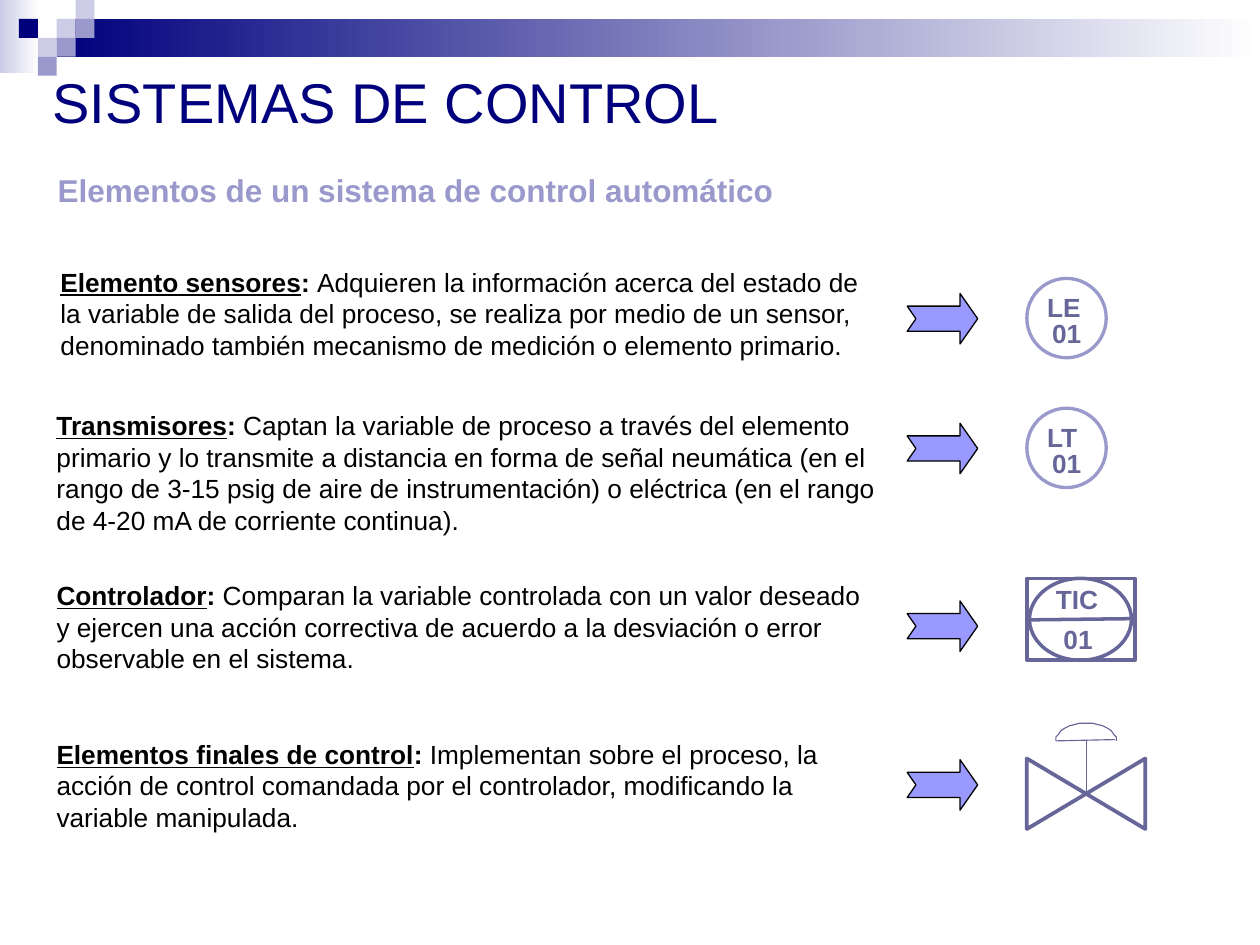
import math
from dataclasses import dataclass
from typing import Optional

from lxml import etree
from pptx import Presentation
from pptx import util as u
from pptx.dml.color import RGBColor
from pptx.enum import shapes, text
from pptx.oxml.ns import qn

PX = 9144
NAVY, LAVENDER, PALE = "00007D", "9999CC", "CCCCE6"
SLATE, ARROW, BLACK, WHITE = "666699", "9999FF", "000000", "FFFFFF"
RECT = shapes.MSO_SHAPE.RECTANGLE
OVAL = shapes.MSO_SHAPE.OVAL
MIDDLE, TOP = text.MSO_ANCHOR.MIDDLE, text.MSO_ANCHOR.TOP


@dataclass
class Box:
    left: int
    top: int
    width: int
    height: int

    def emu(self) -> list[int]:
        return [v * PX for v in (self.left, self.top, self.width, self.height)]


@dataclass
class Element:
    term: str
    description: str
    box: Box
    arrow_top: int
    left_inset: int = 10
    anchor: text.MSO_ANCHOR = TOP


@dataclass
class Square:
    column: int
    row: int
    color: str


@dataclass
class Instrument:
    letters: str
    top: int


ELEMENTS = [
    Element("Elemento sensores",
            "Adquieren la información acerca del estado de la variable de salida del proceso, "
            "se realiza por medio de un sensor, denominado también mecanismo de medición o "
            "elemento primario.", Box(-12, 206, 716, 85), 233, 60, MIDDLE),
    Element("Transmisores",
            "Captan la variable de proceso a través del elemento primario y lo transmite a "
            "distancia en forma de señal neumática (en el rango de 3-15 psig de aire de "
            "instrumentación) o eléctrica (en el rango de 4-20 mA de corriente continua).",
            Box(35, 320, 693, 110), 336),
    Element("Controlador",
            "Comparan la variable controlada con un valor deseado y ejercen una acción "
            "correctiva de acuerdo a la desviación o error observable en el sistema.",
            Box(35, 455, 661, 85), 477),
    Element("Elementos finales de control",
            "Implementan sobre el proceso, la acción de control comandada por el controlador, "
            "modificando la variable manipulada.", Box(35, 581, 661, 85), 603),
]
SQUARES = [Square(3, 1, PALE), Square(4, 0, PALE), Square(4, 1, LAVENDER), Square(2, 2, PALE),
           Square(1, 1, NAVY), Square(3, 2, LAVENDER), Square(2, 3, LAVENDER)]
INSTRUMENTS = [Instrument("LE", 221), Instrument("LT", 324)]


def rgb(color: str) -> RGBColor:
    return RGBColor.from_string(color)


def paint(shape, fill: Optional[str] = None, line: Optional[str] = None, points: float = 1):
    shape.shadow.inherit = False
    if fill:
        shape.fill.solid()
        shape.fill.fore_color.rgb = rgb(fill)
    else:
        shape.fill.background()
    if line:
        shape.line.color.rgb = rgb(line)
        shape.line.width = u.Pt(points)
    else:
        shape.line.fill.background()


def add_preset(slide, kind, box: Box, fill=None, line=None, points: float = 1):
    shape = slide.shapes.add_shape(kind, *box.emu())
    paint(shape, fill, line, points)
    return shape


def add_fade(slide, box: Box, start: str) -> None:
    shape = add_preset(slide, RECT, box)
    shape.fill.gradient()
    shape.fill.gradient_angle = 0
    for stop, color in zip(shape.fill.gradient_stops, (start, WHITE)):
        stop.color.rgb = rgb(color)


def add_line(slide, start: tuple[int, int], end: tuple[int, int], points: float) -> None:
    connector = slide.shapes.add_connector(
        shapes.MSO_CONNECTOR.STRAIGHT, *(v * PX for v in (*start, *end)))
    connector.line.color.rgb = rgb(SLATE)
    connector.line.width = u.Pt(points)
    properties = connector._element.find(qn("p:spPr"))
    etree.SubElement(properties, qn("a:effectLst"))


def add_outline(slide, points: list[tuple[float, float]], closed: bool, width: float) -> None:
    builder = slide.shapes.build_freeform(*points[0], scale=PX)
    builder.add_line_segments(points[1:], close=closed)
    paint(builder.convert_to_shape(), line=SLATE, points=width)


def add_text(slide, box: Box, content: str, size: int, color: str, bold: bool = True,
             inset: tuple[int, int] = (10, 5), wrap: bool = True, anchor=TOP, grow: bool = True):
    frame = slide.shapes.add_textbox(*box.emu()).text_frame
    frame.word_wrap = wrap
    frame.vertical_anchor = anchor
    if grow:
        frame.auto_size = text.MSO_AUTO_SIZE.SHAPE_TO_FIT_TEXT
    frame.margin_left = frame.margin_right = inset[0] * PX
    frame.margin_top = frame.margin_bottom = inset[1] * PX
    paragraph = frame.paragraphs[0]
    paragraph.font.name = "Arial"
    paragraph.font.size = u.Pt(size)
    paragraph.font.bold = bold
    paragraph.font.color.rgb = rgb(color)
    if content:
        paragraph.add_run().text = content
    return frame


def add_label(slide, box: Box, content: str, wrap: bool = True) -> None:
    add_text(slide, box, content, 15, SLATE, inset=(0, 0), wrap=wrap)


def add_element(slide, element: Element) -> None:
    frame = add_text(slide, element.box, "", 15, BLACK, bold=False, anchor=element.anchor)
    frame.margin_left = element.left_inset * PX
    paragraph = frame.paragraphs[0]
    term, colon, description = (paragraph.add_run() for _ in range(3))
    term.text, colon.text, description.text = element.term, ": ", element.description
    term.font.bold = colon.font.bold = True
    term.font.underline = True
    arrow = add_preset(slide, shapes.MSO_SHAPE.NOTCHED_RIGHT_ARROW,
                       Box(720, element.arrow_top, 56, 40), ARROW, BLACK, 0.75)
    arrow.adjustments[0], arrow.adjustments[1] = 0.5, 0.35


def add_instrument(slide, instrument: Instrument) -> None:
    top = instrument.top
    add_label(slide, Box(831, top + 10, 39, 25), instrument.letters)
    add_label(slide, Box(835, top + 31, 31, 25), "01")
    add_preset(slide, OVAL, Box(815, top, 63, 63), line=LAVENDER, points=1.9)


def add_controller(slide) -> None:
    add_preset(slide, OVAL, Box(817, 459, 81, 65), line=SLATE, points=2)
    add_label(slide, Box(838, 463, 36, 25), "TIC", wrap=False)
    add_label(slide, Box(844, 495, 26, 25), "01", wrap=False)
    add_preset(slide, RECT, Box(815, 459, 86, 65), line=SLATE, points=2)
    add_line(slide, (816, 492), (900, 491), 2)


def add_valve(slide) -> None:
    add_outline(slide, [(815, 658), (815, 602), (909, 658), (909, 602)], True, 2.15)
    add_line(slide, (862, 588), (862, 630), 0.65)
    add_line(slide, (885, 587), (838, 588), 0.65)
    angles = [math.pi * step / 16 for step in range(17)]
    dome = [(round(862 + 24 * math.cos(a), 2), round(588 - 14 * math.sin(a), 2)) for a in angles]
    add_outline(slide, dome, False, 0.65)


def main() -> None:
    presentation = Presentation()
    presentation.slide_width, presentation.slide_height = 1000 * PX, 750 * PX
    slide = presentation.slides.add_slide(presentation.slide_layouts[6])
    add_fade(slide, Box(0, 0, 31, 58), PALE)
    add_fade(slide, Box(45, 15, 955, 30), NAVY)
    for square in SQUARES:
        add_preset(slide, RECT, Box(square.column * 15, square.row * 15, 15, 15), square.color)
    add_text(slide, Box(32, 41, 950, 79), "SISTEMAS DE CONTROL", 32, NAVY,
             bold=False, anchor=MIDDLE, grow=False)
    add_text(slide, Box(36, 131, 588, 40), "Elementos de un sistema de control automático",
             18, LAVENDER, wrap=False)
    for element in ELEMENTS:
        add_element(slide, element)
    for instrument in INSTRUMENTS:
        add_instrument(slide, instrument)
    add_controller(slide)
    add_valve(slide)
    presentation.save("out.pptx")


if __name__ == "__main__":
    main()
